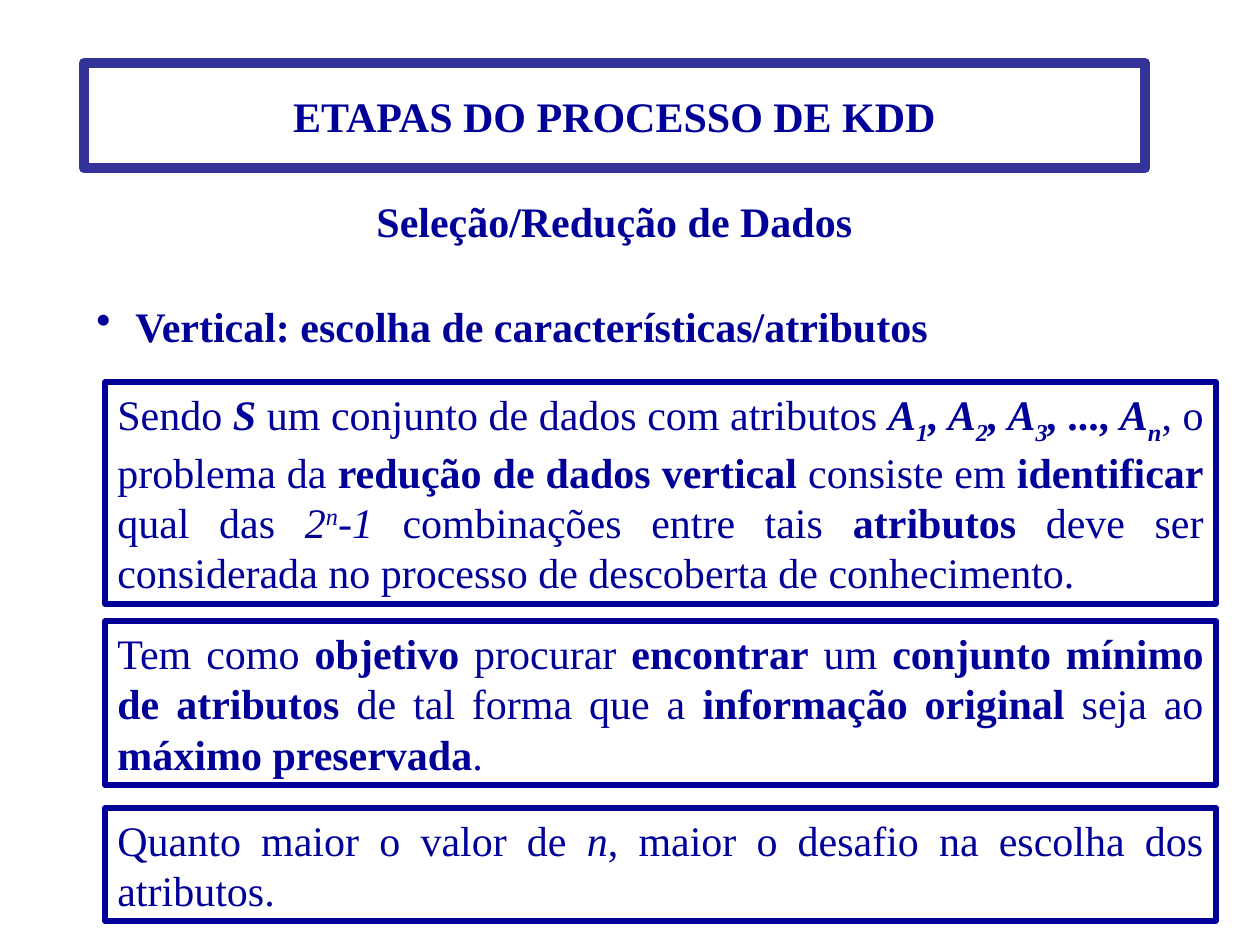
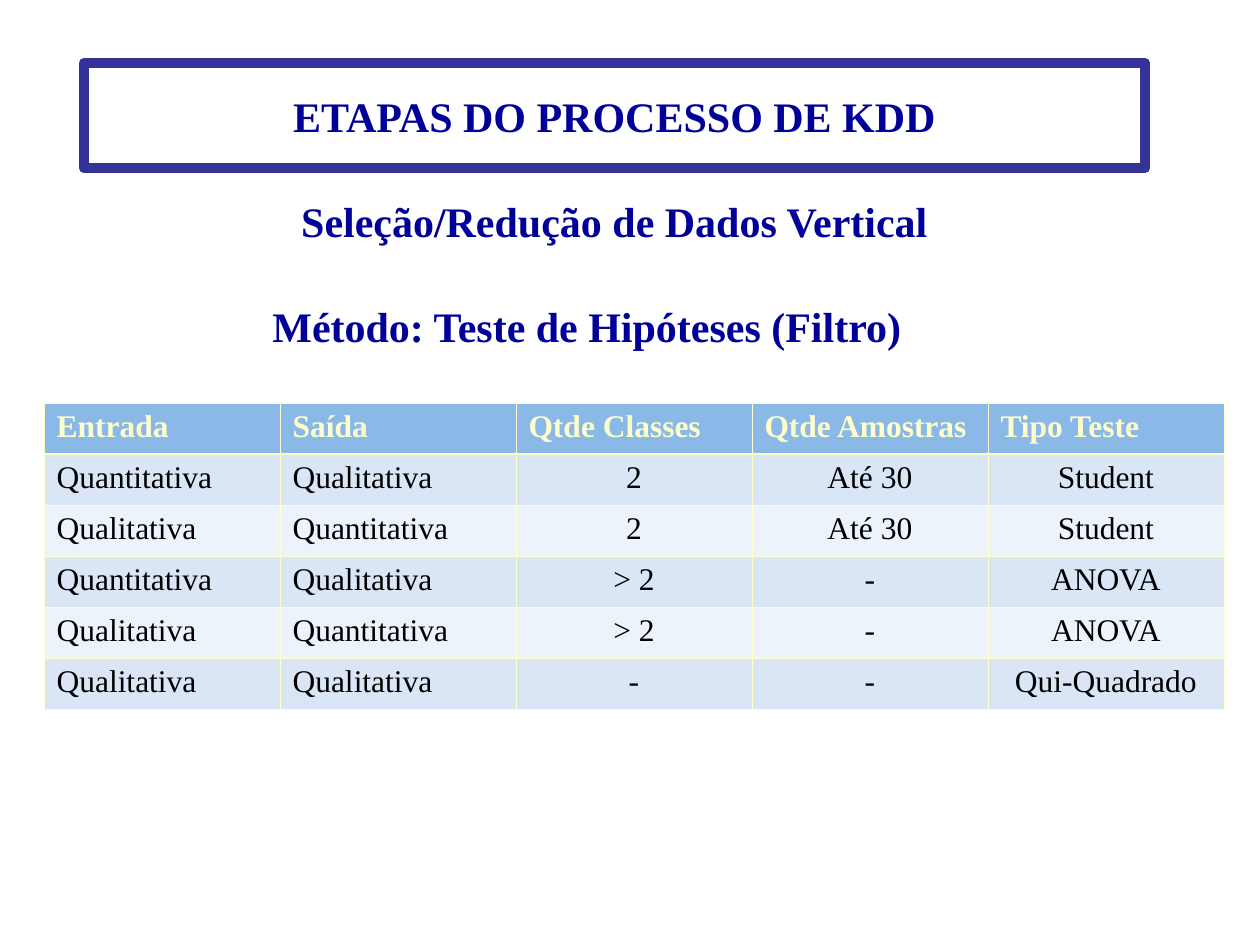
from lxml.etree import SubElement
from pptx import Presentation
from pptx.dml.color import RGBColor
from pptx.enum.shapes import MSO_SHAPE
from pptx.enum.text import MSO_ANCHOR, PP_ALIGN
from pptx.oxml.ns import qn
from pptx.util import Emu, Pt

FONT = "Times New Roman"
NAVY, FRAME, CREAM, BLACK = "000099", "333399", "FFFFCC", "000000"
HEADER_FILL, BAND_FILLS = "8AB9E7", ("DAE6F6", "EDF3FA")
THIN, THICK = 0.45, 1.47

SUB, SUP = -25000, 30000

DEFINITION = [
    ("Sendo ", ""), ("S", "bi"), (" um conjunto de dados com atributos ", ""),
    ("A", "bi"), ("1", "bi_"), (", A", "bi"), ("2", "bi_"), (", A", "bi"),
    ("3", "bi_"), (", ..., A", "bi"), ("n", "bi_"), (", o problema da ", ""),
    ("redução de dados vertical", "b"), (" consiste em ", ""),
    ("identificar", "b"), (" qual das ", ""), ("2", "i"), ("n", "i^"),
    ("-1", "i"), (" combinações entre tais ", ""), ("atributos", "b"),
    (" deve ser considerada no processo de descoberta de conhecimento.", ""),
]
GOAL = [
    ("Tem como ", ""), ("objetivo", "b"), (" procurar ", ""),
    ("encontrar", "b"), (" um ", ""), ("conjunto mínimo de atributos", "b"),
    (" de tal forma que a ", ""), ("informação original", "b"),
    (" seja ao ", ""), ("máximo preservada", "b"), (".", ""),
]
CHALLENGE = [
    ("Quanto maior o valor de ", ""), ("n", "i"),
    (", maior o desafio na escolha dos atributos.", ""),
]
TESTS = [
    ("Entrada", "Saída", "Qtde Classes", "Qtde Amostras", "Tipo Teste"),
    ("Quantitativa", "Qualitativa", "2", "Até 30", "Student"),
    ("Qualitativa", "Quantitativa", "2", "Até 30", "Student"),
    ("Quantitativa", "Qualitativa", "> 2", "-", "ANOVA"),
    ("Qualitativa", "Quantitativa", "> 2", "-", "ANOVA"),
    ("Qualitativa", "Qualitativa", "-", "-", "Qui-Quadrado"),
]


def px(n):
    return Emu(round(n * 914400 / 126))


def rgb(hex_color):
    return RGBColor.from_string(hex_color)


def style_font(font, size, color, bold=False, italic=False):
    font.name, font.size = FONT, Pt(size)
    font.bold, font.italic = bold, italic
    font.color.rgb = rgb(color)


def add_runs(p, runs):
    """Add (text, marks) runs; marks are b, i, _ (subscript) and ^ (superscript)."""
    for text, marks in runs:
        r = p.add_run()
        r.text = text
        style_font(r.font, 24, NAVY, "b" in marks, "i" in marks)
        if "_" in marks or "^" in marks:
            baseline = SUB if "_" in marks else SUP
            r.font._element.set("baseline", str(baseline))


def add_frame(s, box, line_color, line_width, runs, align):
    sp = s.shapes.add_shape(MSO_SHAPE.RECTANGLE, *map(px, box))
    sp.shadow.inherit = False
    sp.fill.background()
    sp.line.color.rgb = rgb(line_color)
    sp.line.width = Pt(line_width)
    tf = sp.text_frame
    tf.word_wrap = True
    tf.vertical_anchor = MSO_ANCHOR.MIDDLE
    p = tf.paragraphs[0]
    p.alignment = align
    add_runs(p, runs)


def add_heading(s, box, text, align=PP_ALIGN.LEFT, bullet=False):
    tf = s.shapes.add_textbox(*map(px, box)).text_frame
    tf.word_wrap = True
    p = tf.paragraphs[0]
    p.alignment = align
    if bullet:
        pPr = p._p.get_or_add_pPr()
        pPr.set("marL", str(px(39)))
        pPr.set("indent", str(-px(39)))
        SubElement(pPr, qn("a:buChar"), char="•")
    add_runs(p, [(text, "b")])


def add_topic_slide(prs, subtitle):
    s = prs.slides.add_slide(prs.slide_layouts[6])
    add_frame(s, (84, 63, 1061, 105), FRAME, 6,
              [("ETAPAS DO PROCESSO DE KDD", "b")], PP_ALIGN.CENTER)
    add_heading(s, (84, 189, 1061, 63), subtitle, PP_ALIGN.CENTER)
    return s


def set_borders(cell, top, bottom):
    tcPr = cell._tc.get_or_add_tcPr()
    for side, width in (("L", THIN), ("R", THIN), ("T", top), ("B", bottom)):
        ln = SubElement(tcPr, qn(f"a:ln{side}"), w=str(Pt(width)))
        fill = SubElement(ln, qn("a:solidFill"))
        SubElement(fill, qn("a:srgbClr"), val=CREAM)


def add_tests_table(s, left, top, col_width, row_height):
    n_rows, n_cols = len(TESTS), len(TESTS[0])
    table = s.shapes.add_table(
        n_rows, n_cols, px(left), px(top),
        px(col_width * n_cols), px(row_height * n_rows)).table
    table.horz_banding = False
    for i, row in enumerate(TESTS):
        header = i == 0
        for j, text in enumerate(row):
            cell = table.cell(i, j)
            set_borders(cell, THICK if i == 1 else THIN, THICK if header else THIN)
            cell.fill.solid()
            cell.fill.fore_color.rgb = rgb(HEADER_FILL if header else BAND_FILLS[(i - 1) % 2])
            p = cell.text_frame.paragraphs[0]
            p.text = text
            p.alignment = PP_ALIGN.LEFT if header or j < 2 else PP_ALIGN.CENTER
            style_font(p.runs[0].font, 18, CREAM if header else BLACK, header)


def main():
    prs = Presentation()
    prs.slide_width, prs.slide_height = px(1260), px(945)

    s = add_topic_slide(prs, "Seleção/Redução de Dados")
    add_heading(s, (84, 294, 861, 63),
                "Vertical: escolha de características/atributos", bullet=True)
    for top, height, runs in ((382, 222, DEFINITION), (621, 164, GOAL), (808, 113, CHALLENGE)):
        add_frame(s, (105, top, 1111, height), NAVY, 3, runs, PP_ALIGN.JUSTIFY)

    s = add_topic_slide(prs, "Seleção/Redução de Dados Vertical")
    add_heading(s, (260, 294, 748, 63), "Método: Teste de Hipóteses (Filtro)")
    add_tests_table(s, left=44, top=403, col_width=236, row_height=51)

    prs.save("out.pptx")


if __name__ == "__main__":
    main()
